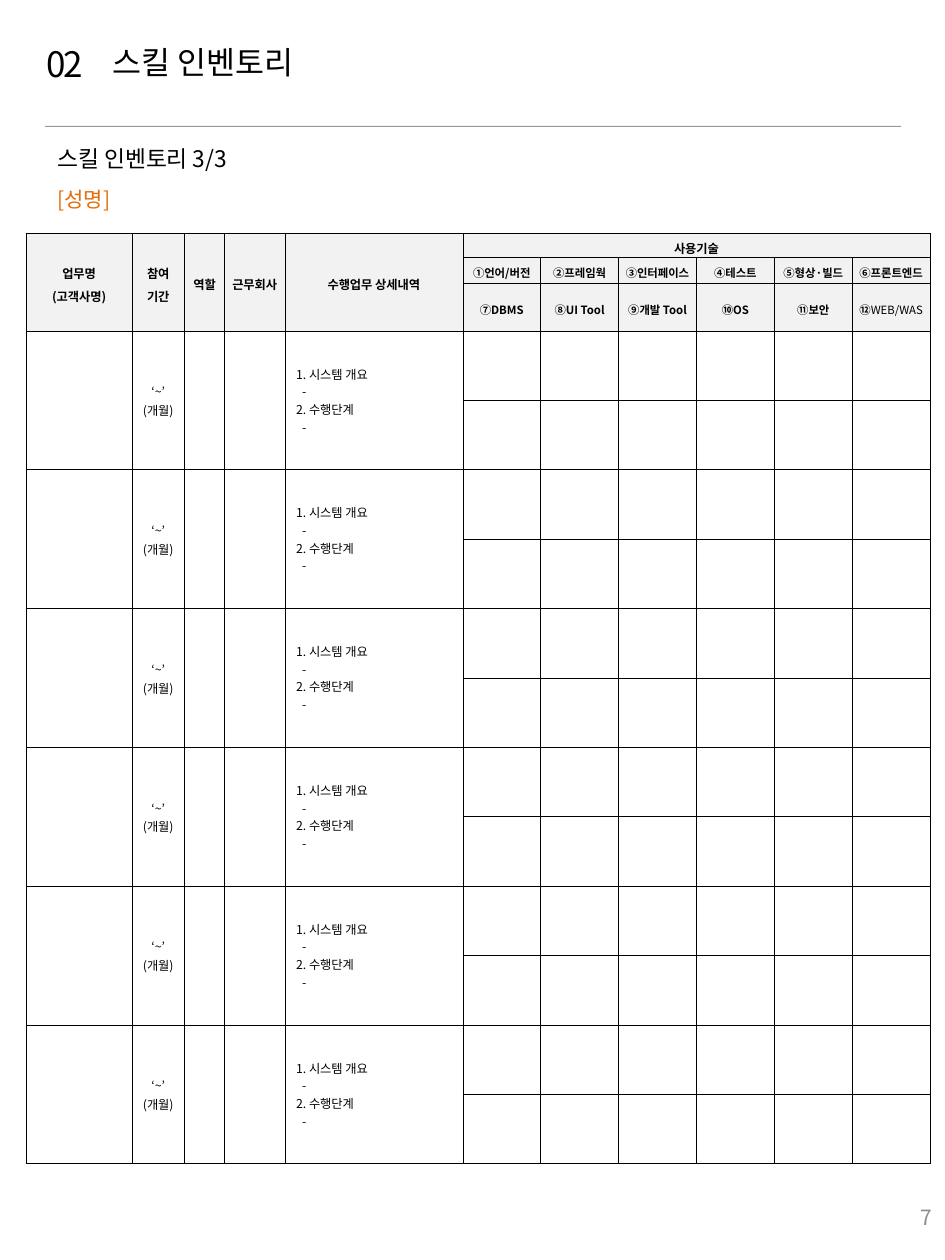
"""Build the skill inventory slide with its table of projects and tools."""
import dataclasses
import typing

import lxml.etree
import pptx
import pptx.dml.color
import pptx.enum.shapes
import pptx.enum.text
import pptx.oxml.ns
import pptx.util

Cm = pptx.util.Cm
Pt = pptx.util.Pt
Align = pptx.enum.text.PP_ALIGN
Anchor = pptx.enum.text.MSO_ANCHOR
qn = pptx.oxml.ns.qn


@dataclasses.dataclass(frozen=True)
class Theme:
    face: str = "Noto Sans CJK KR"
    ink: str = "000000"
    accent: str = "E46C0A"
    muted: str = "8C8C8C"
    rule: str = "808080"
    shade: str = "F2F2F2"
    number: float = 20
    title: float = 18
    lead: float = 13
    name: float = 12
    head: float = 7
    tool: float = 6.5
    edge: float = 0.28


@dataclasses.dataclass(frozen=True)
class Label:
    text: str
    box: tuple[float, float, float, float]
    size: float
    tint: str
    pad: tuple[float, float] = (0.25, 0.13)
    anchor: typing.Any = Anchor.MIDDLE
    align: typing.Any = Align.LEFT
    space: float | None = None
    track: int = 0


@dataclasses.dataclass(frozen=True)
class Entry:
    text: str
    size: float
    pad: tuple[float, float] = (0.1, 0.02)
    bold: bool = True
    space: float | None = 1.3
    align: typing.Any = Align.CENTER
    tail: str = ""


THEME = Theme()
WIDTHS = [2.13, 1.06, 0.81, 1.21, 3.59] + [1.57] * 6
HEADS = [0.49, 0.51, 0.97]
JOBS = 6
HALF = 1.4
FIRST = 5
DASH = "-"

LABELS = [
    Label("02", (0.71, 0.76, 1.93, 1.09), THEME.number, THEME.ink,
          pad=(0.23, 0.1), anchor=Anchor.TOP, track=-130),
    Label("스킬 인벤토리", (2.03, 0.86, 6.05, 0.89), THEME.title, THEME.ink,
          pad=(0.23, 0.1), space=0.9),
    Label("스킬 인벤토리 3/3", (0.91, 2.74, 17.25, 0.89), THEME.lead, THEME.ink),
    Label("[성명]", (0.91, 3.56, 17.25, 0.89), THEME.name, THEME.accent),
    Label("7", (17.73, 24.18, 1.32, 0.71), THEME.name, THEME.muted, align=Align.RIGHT),
]
TITLES = ["업무명\n(고객사명)", "참여\n기간", "역할", "근무회사", "수행업무 상세내역", "사용기술"]
TOOLS = [
    ["①언어/버전", "②프레임웍", "③인터페이스", "④테스트", "⑤형상·빌드", "⑥프론트엔드"],
    ["⑦DBMS", "⑧UI Tool", "⑨개발 Tool", "⑩OS", "⑪보안", "⑫"],
]
TAILS = {"⑫": "WEB/WAS"}
TIGHT = {"②프레임웍", "③인터페이스", "⑦DBMS", "⑧UI Tool", "⑨개발 Tool"}
TERM = Entry("‘~’\n(개월)", THEME.head, (0, 0), False, 1.07)
DETAIL = Entry("1. 시스템 개요\n-\n2. 수행단계\n-", THEME.head, (0.23, 0.1), False, None, Align.LEFT)


def color(tint: str) -> pptx.dml.color.RGBColor:
    return pptx.dml.color.RGBColor.from_string(tint)


def style(run: typing.Any, size: float, tint: str, bold: bool = False) -> None:
    font = run.font
    font.size = Pt(size)
    font.bold = bold
    font.color.rgb = color(tint)
    font.name = THEME.face
    east = lxml.etree.SubElement(run._r.get_or_add_rPr(), qn("a:ea"))
    east.set("typeface", THEME.face)


def inset(body: typing.Any, pad: tuple[float, float]) -> None:
    body.margin_left = body.margin_right = Cm(pad[0])
    body.margin_top = body.margin_bottom = Cm(pad[1])


def write(slide: typing.Any, label: Label) -> None:
    frame = slide.shapes.add_textbox(*map(Cm, label.box)).text_frame
    frame.word_wrap = True
    frame.vertical_anchor = label.anchor
    inset(frame, label.pad)
    frame.text = label.text
    line = frame.paragraphs[0]
    line.alignment = label.align
    line.line_spacing = label.space
    for run in line.runs:
        style(run, label.size, label.tint)
        if label.track:
            run._r.get_or_add_rPr().set("spc", str(label.track))


def divide(slide: typing.Any) -> None:
    bar = slide.shapes.add_shape(
        pptx.enum.shapes.MSO_SHAPE.RECTANGLE, Cm(0.91), Cm(2.54), Cm(17.25), Cm(0.02))
    bar.shadow.inherit = False
    bar.line.fill.background()
    bar.fill.solid()
    bar.fill.fore_color.rgb = color(THEME.rule)
    tone = bar.fill._xPr.find(qn("a:solidFill"))[0]
    lxml.etree.SubElement(tone, qn("a:alpha")).set("val", "80000")


def outline(cell: typing.Any) -> None:
    props = cell._tc.get_or_add_tcPr()
    for side in ("a:lnL", "a:lnR", "a:lnT", "a:lnB"):
        line = lxml.etree.SubElement(props, qn(side))
        line.set("w", str(int(Pt(THEME.edge))))
        fill = lxml.etree.SubElement(line, qn("a:solidFill"))
        lxml.etree.SubElement(fill, qn("a:srgbClr")).set("val", THEME.ink)


def clear(cell: typing.Any, shaded: bool) -> None:
    outline(cell)
    if shaded:
        cell.fill.solid()
        cell.fill.fore_color.rgb = color(THEME.shade)
    else:
        cell.fill.background()
    inset(cell, (0.1, 0.02))
    line = cell.text_frame.paragraphs[0]._p
    lxml.etree.SubElement(line, qn("a:endParaRPr")).set("sz", str(int(THEME.head * 100)))


def enter(cell: typing.Any, entry: Entry) -> None:
    cell.vertical_anchor = Anchor.MIDDLE
    inset(cell, entry.pad)
    cell.text_frame.text = entry.text
    for line in cell.text_frame.paragraphs:
        line.alignment = entry.align
        line.line_spacing = entry.space
        if line.text == DASH:
            line._p.get_or_add_pPr().set("marL", str(int(Cm(0.12))))
        for run in line.runs:
            style(run, entry.size, THEME.ink, entry.bold)
        if entry.tail:
            run = line.add_run()
            run.text = entry.tail
            style(run, entry.size, THEME.ink)


def chart(slide: typing.Any) -> None:
    heights = HEADS + [HALF] * (2 * JOBS)
    grid = slide.shapes.add_table(
        len(heights), len(WIDTHS), Cm(0.53), Cm(4.7), Cm(sum(WIDTHS)), Cm(sum(heights))).table
    grid.first_row = grid.horz_banding = False
    for column, width in zip(grid.columns, WIDTHS):
        column.width = Cm(width)
    for index, height in enumerate(heights):
        grid.rows[index].height = Cm(height)
        for col in range(len(WIDTHS)):
            clear(grid.cell(index, col), index < len(HEADS))

    for col, title in enumerate(TITLES):
        end = (2, col) if col < FIRST else (0, len(WIDTHS) - 1)
        grid.cell(0, col).merge(grid.cell(*end))
        enter(grid.cell(0, col), Entry(title, THEME.head))
    for row, tools in enumerate(TOOLS, 1):
        for col, tool in enumerate(tools, FIRST):
            pad = (0, 0) if tool in TIGHT else (0.1, 0.02)
            enter(grid.cell(row, col), Entry(tool, THEME.tool, pad, tail=TAILS.get(tool, "")))
    for row in range(len(HEADS), len(heights), 2):
        for col in range(FIRST):
            grid.cell(row, col).merge(grid.cell(row + 1, col))
        enter(grid.cell(row, 1), TERM)
        enter(grid.cell(row, 4), DETAIL)


def main() -> None:
    deck = pptx.Presentation()
    deck.slide_width, deck.slide_height = Cm(19.05), Cm(25.4)
    slide = deck.slides.add_slide(deck.slide_layouts[6])
    divide(slide)
    for label in LABELS:
        write(slide, label)
    chart(slide)
    deck.save("out.pptx")


if __name__ == "__main__":
    main()
